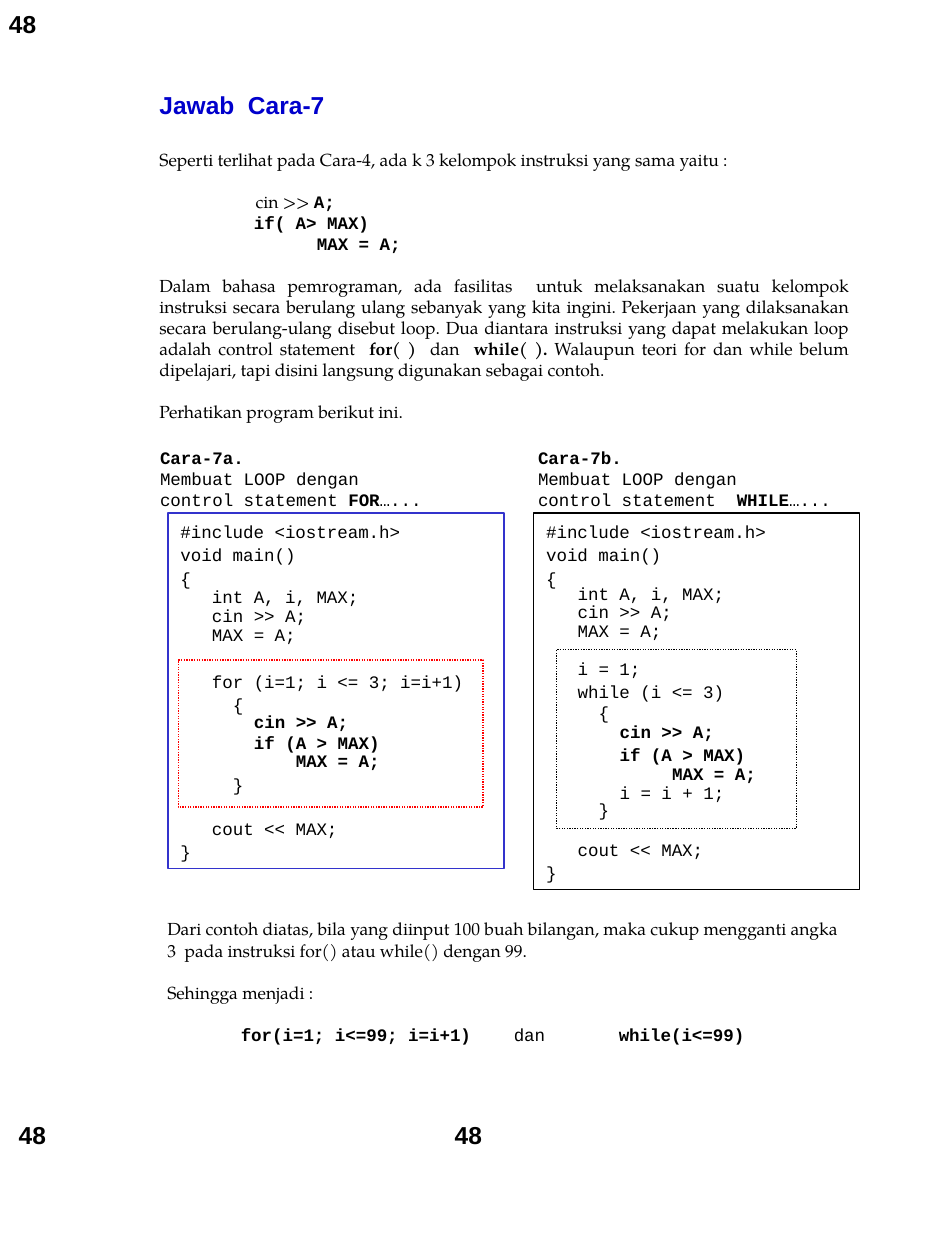
import dataclasses

import lxml.etree
import pptx
import pptx.dml.color
import pptx.enum.dml
import pptx.enum.shapes
import pptx.enum.text
import pptx.oxml.ns
import pptx.util

Pt = pptx.util.Pt
Align = pptx.enum.text.PP_ALIGN


@dataclasses.dataclass(frozen=True)
class Theme:
    head: str = "Arial"
    body: str = "TeX Gyre Pagella"
    code: str = "Courier New"
    large: int = 14
    small: int = 10
    black: str = "000000"
    title: str = "0000CC"
    frame: str = "3333CC"
    loop: str = "FF0000"
    char: int = 6
    line: int = 12
    edge: float = 0.75


THEME = Theme()


@dataclasses.dataclass
class Row:
    text: str
    space: float = 1
    left: float = 0
    gap: float = 0
    face: str = THEME.body
    bold: str = ""
    size: int = THEME.small
    ink: str = THEME.black
    stops: tuple = ()


def color(code):
    return pptx.dml.color.RGBColor.from_string(code)


def code(text, space=1, depth=0, gap=0):
    return Row(text, space, depth * THEME.char, gap, THEME.code)


def set_tabs(props, stops):
    tabs = lxml.etree.SubElement(props, pptx.oxml.ns.qn("a:tabLst"))
    for stop in stops:
        tab = lxml.etree.SubElement(tabs, pptx.oxml.ns.qn("a:tab"))
        tab.set("pos", str(Pt(stop)))
        tab.set("algn", "l")


def write_row(para, row, align):
    para.alignment = align
    para.line_spacing = row.space
    para.space_before = Pt(row.gap)
    props = para._p.get_or_add_pPr()
    if row.left:
        props.set("marL", str(Pt(row.left)))
        props.set("indent", "0")
    if row.stops:
        set_tabs(props, row.stops)
    for index, part in enumerate(row.text.split("*")):
        if not part:
            continue
        strong = index % 2 == 1
        run = para.add_run()
        run.text = part
        font = run.font
        font.name = row.bold if strong and row.bold else row.face
        font.size = Pt(row.size)
        font.bold = strong
        font.color.rgb = color(row.ink)


def fill_text(shape, rows, align=Align.LEFT):
    frame = shape.text_frame
    frame.word_wrap = True
    frame.auto_size = pptx.enum.text.MSO_AUTO_SIZE.SHAPE_TO_FIT_TEXT
    frame.vertical_anchor = pptx.enum.text.MSO_ANCHOR.TOP
    for index, row in enumerate(rows):
        para = frame.add_paragraph() if index else frame.paragraphs[0]
        write_row(para, row, align)


def add_text(slide, place, rows, align=Align.LEFT):
    box = slide.shapes.add_textbox(*map(Pt, place))
    fill_text(box, rows, align)


def add_frame(slide, place, ink, dash=None):
    kind = pptx.enum.shapes.MSO_SHAPE.RECTANGLE
    box = slide.shapes.add_shape(kind, *map(Pt, place))
    box.shadow.inherit = False
    box.fill.background()
    box.line.color.rgb = color(ink)
    box.line.width = Pt(THEME.edge)
    if dash:
        box.line.dash_style = dash
    return box


def add_panel(slide, place, ink, label, rows):
    left, width, lines = label
    add_text(slide, (left, 252, width, 43.2), [code(line) for line in lines])
    fill_text(add_frame(slide, place, ink), rows)


def start_rows(space):
    return [
        code("#include <iostream.h>", 1.1),
        code("void main()", 1.1),
        code("{", 1.1),
        code("int A, i, MAX;", space, 3),
        code("cin >> A;", 0.9, 3),
        code("MAX = A;", 0.9, 3),
    ]


def end_rows(space):
    return [code("cout << MAX;", space, 3), code("}", 1.1)]


def add_intro(slide):
    gap = THEME.line
    rows = [
        Row("*Jawab  Cara-7*", face=THEME.head, size=THEME.large, ink=THEME.title),
        Row("Seperti terlihat pada Cara-4, ada k 3 kelompok instruksi yang sama yaitu :", gap=16.6),
        Row("cin >> *A;*", left=55, gap=gap, bold=THEME.code),
        code("*if( A> MAX)*", depth=9),
        code("*MAX = A;*", depth=15),
        Row(
            "Dalam bahasa pemrograman, ada fasilitas  untuk melaksanakan suatu kelompok "
            "instruksi secara berulang ulang sebanyak yang kita ingini. Pekerjaan yang "
            "dilaksanakan secara berulang-ulang disebut loop. Dua diantara instruksi yang "
            "dapat melakukan loop adalah control statement  *for( )*  dan  *while( ).* "
            "Walaupun teori for dan while belum dipelajari, tapi disini langsung "
            "digunakan sebagai contoh.",
            gap=gap,
        ),
        Row("Perhatikan program berikut ini.", gap=gap),
    ]
    add_text(slide, (84, 48, 408, 209.5), rows, Align.JUSTIFY)


def add_code(slide):
    gap = 0.9 * THEME.line
    made = "Membuat LOOP dengan"
    first = start_rows(0.9) + [
        code("for (i=1; i <= 3; i=i+1)", 1.3, 3, gap),
        code("{", 1.1, 5),
        code("*cin >> A;*", 0.8, 7),
        code("*if (A > MAX)*", 1, 7),
        code("*MAX = A;*", 0.9, 11),
        code("}", 1.1, 5),
    ] + end_rows(2.1)
    second = start_rows(0.7) + [
        code("i = 1;", 0.9, 3, gap),
        code("while (i <= 3)", 1.1, 3),
        code("{", 1, 5),
        code("*cin >> A;*", 0.9, 7),
        code("*if (A > MAX)*", 1.1, 7),
        code("*MAX = A;*", 0.9, 12),
        code("i = i + 1;", 0.9, 7),
        code("}", 0.8, 5),
    ] + end_rows(1.9)
    label = (84.4, 170, ("*Cara-7a.*", made, "control statement *FOR*…..."))
    add_panel(slide, (96, 293.2, 192, 203), THEME.frame, label, first)
    label = (300.4, 190, ("*Cara-7b.*", made, "control statement * WHILE*…..."))
    add_panel(slide, (305, 293.2, 186, 215.3), THEME.black, label, second)
    dots = pptx.enum.dml.MSO_LINE.ROUND_DOT
    add_frame(slide, (102, 377.2, 174, 84), THEME.loop, dots)
    add_frame(slide, (318, 371.3, 137, 102), THEME.black, dots)


def add_close(slide):
    rows = [
        Row("Dari contoh diatas, bila yang diinput 100 buah bilangan, maka cukup mengganti "
            "angka 3  pada instruksi for() atau while() dengan 99."),
        Row("Sehingga menjadi :", gap=THEME.line),
        Row("\t*for(i=1; i<=99; i=i+1)*\tdan\t*while(i<=99)*", gap=THEME.line,
            face=THEME.code, stops=(42, 198, 258)),
    ]
    add_text(slide, (88.5, 521.3, 403, 79), rows)


def add_pages(slide):
    mark = Row("*48*", face=THEME.head, size=THEME.large)
    for left, top in ((252.7, 636.5), (3.6, 636.5), (-2, 1.4)):
        add_text(slide, (left, top, 34, 24.5), [mark])


def main():
    deck = pptx.Presentation()
    deck.slide_width, deck.slide_height = Pt(540), Pt(720)
    slide = deck.slides.add_slide(deck.slide_layouts[6])
    add_code(slide)
    add_intro(slide)
    add_close(slide)
    add_pages(slide)
    deck.save("out.pptx")


if __name__ == "__main__":
    main()
